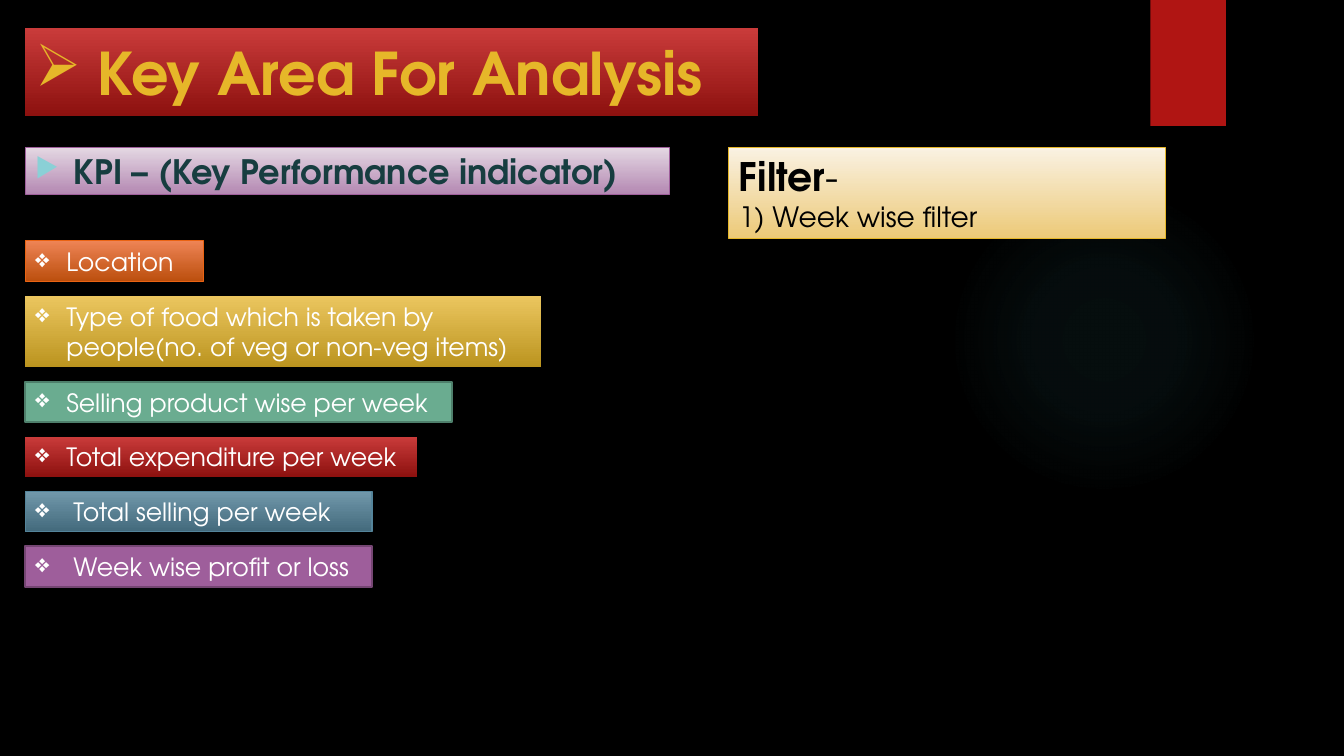
from lxml.etree import SubElement
from pptx import Presentation
from pptx.dml.color import RGBColor
from pptx.enum.shapes import MSO_SHAPE
from pptx.enum.text import MSO_ANCHOR, MSO_AUTO_SIZE, PP_ALIGN
from pptx.oxml.ns import qn
from pptx.util import Inches, Pt

FONT = "TeX Gyre Adventor"
BLACK = RGBColor(0x00, 0x00, 0x00)
WHITE = RGBColor(0xFF, 0xFF, 0xFF)
RED = RGBColor(0xB0, 0x15, 0x13)
CRIMSON = RGBColor(0xC9, 0x3B, 0x3A)
MAROON = RGBColor(0x8D, 0x11, 0x0F)
GOLD = RGBColor(0xE6, 0xB7, 0x29)
SAND = RGBColor(0xEB, 0xC6, 0x5F)
OCHRE = RGBColor(0xBB, 0x94, 0x1F)
CREAM = RGBColor(0xFA, 0xF2, 0xE3)
WHEAT = RGBColor(0xEC, 0xC9, 0x77)
CORAL = RGBColor(0xEE, 0x84, 0x55)
RUST = RGBColor(0xBC, 0x4F, 0x0E)
ORANGE = RGBColor(0xEA, 0x63, 0x12)
GREEN = RGBColor(0x6A, 0xAC, 0x90)
PINE = RGBColor(0x4E, 0x7F, 0x6B)
SKY = RGBColor(0x71, 0x98, 0xAB)
SLATE = RGBColor(0x43, 0x6A, 0x7C)
STEEL = RGBColor(0x54, 0x84, 0x9A)
LILAC = RGBColor(0xE4, 0xD8, 0xE3)
MAUVE = RGBColor(0xB4, 0x88, 0xB2)
PURPLE = RGBColor(0x9E, 0x5E, 0x9B)
PLUM = RGBColor(0x75, 0x46, 0x73)
TEAL = RGBColor(0x17, 0x3D, 0x40)
AQUA = RGBColor(0x8A, 0xD0, 0xD6)
CYAN = RGBColor(0x50, 0xB9, 0xC1)

# Shadows: opacity %, blur pt, distance pt
SOFT = (45, 3, 2)
DEEP = (60, 5, 3)

TITLE = "Key Area For Analysis"
KPI = "KPI – (Key Performance indicator)"
FILTER = ("Filter", "-", "1) Week wise filter")
# text, width, lines, indent, fill colours, line, shadow
BARS = [
    ("Location", 1.77, 1, 0.31, (CORAL, RUST), (ORANGE, 0.75), SOFT),
    ("Type of food which is taken by people(no. of veg or non-veg items)",
     5.12, 2, 0.31, (SAND, OCHRE), None, DEEP),
    ("Selling product wise per week", 4.23, 1, 0.31, (GREEN,), (PINE, 1.5), None),
    ("Total expenditure per week", 3.89, 1, 0.31, (CRIMSON, MAROON), None, DEEP),
    ("Total selling per week", 3.44, 1, 0.38, (SKY, SLATE), (STEEL, 0.75), SOFT),
    ("Week wise profit or loss", 3.44, 1, 0.38, (PURPLE,), (PLUM, 1.5), None),
]
LEFT, TOP, BOTTOM = 0.25, 2.39, 5.82


def tint(parent, color, alpha):
    node = SubElement(parent, qn("a:srgbClr"), val=str(color))
    SubElement(node, qn("a:alpha"), val=str(alpha * 1000))


def style(shape, fill, line=None, shadow=None):
    """Set a plain or top-to-bottom fill, the outline and the shadow."""
    if len(fill) == 1:
        shape.fill.solid()
        shape.fill.fore_color.rgb = fill[0]
    else:
        shape.fill.gradient()
        shape.fill.gradient_angle = 270
        for stop, color in zip(shape.fill.gradient_stops, fill):
            stop.color.rgb = color
    if line:
        shape.line.color.rgb = line[0]
        shape.line.width = Pt(line[1])
    else:
        shape.line.fill.background()
    shape.shadow.inherit = False
    if shadow:
        alpha, blur, dist = shadow
        effects = shape._element.spPr.find(qn("a:effectLst"))
        outer = SubElement(effects, qn("a:outerShdw"), blurRad=str(Pt(blur)),
                           dist=str(Pt(dist)), dir="5400000", rotWithShape="0")
        tint(outer, BLACK, alpha)


def box(slide, at, fill, line=None, shadow=None, kind=MSO_SHAPE.RECTANGLE):
    shape = slide.shapes.add_shape(kind, *map(Inches, at))
    style(shape, fill, line, shadow)
    return shape


def write(para, text, size=18, color=WHITE, bold=False, indent=0,
          bullet=None, tone=None, scale=None):
    run = para.add_run()
    run.text = text
    font = run.font
    font.name, font.size, font.bold = FONT, Pt(size), bold
    font.color.rgb = color
    para.alignment = PP_ALIGN.LEFT
    if bullet:
        props = para._p.get_or_add_pPr()
        props.set("marL", str(Inches(indent)))
        props.set("indent", str(-Inches(indent)))
        if tone:
            node = SubElement(props, qn("a:buClr"))
            SubElement(node, qn("a:srgbClr"), val=str(tone))
        if scale:
            SubElement(props, qn("a:buSzPct"), val=str(scale * 1000))
        SubElement(props, qn("a:buChar"), char=bullet)


def frame(shape, grow=False):
    """Prepare the text frame and return its first paragraph."""
    text = shape.text_frame
    text.word_wrap = True
    text.vertical_anchor = MSO_ANCHOR.MIDDLE
    text.auto_size = MSO_AUTO_SIZE.SHAPE_TO_FIT_TEXT if grow else MSO_AUTO_SIZE.NONE
    return text.paragraphs[0]


def add_glow(slide):
    glow = box(slide, (9.41, 1.83, 3.08, 3.08), (CYAN, CYAN), kind=MSO_SHAPE.OVAL)
    grad = glow._element.spPr.find(qn("a:gradFill"))
    for child in list(grad):
        grad.remove(child)
    stops = SubElement(grad, qn("a:gsLst"))
    for place, alpha in ((0, 7), (36, 6), (69, 0), (100, 0)):
        tint(SubElement(stops, qn("a:gs"), pos=str(place * 1000)), CYAN, alpha)
    route = SubElement(grad, qn("a:path"), path="circle")
    SubElement(route, qn("a:fillToRect"), l="50000", t="50000", r="50000", b="50000")


def add_bars(slide):
    heights = [0.09 + 0.31 * bar[2] for bar in BARS]
    gap = (BOTTOM - TOP - sum(heights)) / (len(BARS) - 1)
    top = TOP
    for (text, width, _, indent, fill, line, shadow), height in zip(BARS, heights):
        bar = box(slide, (LEFT, top, width, height), fill, line, shadow)
        write(frame(bar, grow=True), text, indent=indent, bullet="❖")
        top += height + gap


def main():
    deck = Presentation()
    deck.slide_width, deck.slide_height = Inches(13.33), Inches(7.5)
    slide = deck.slides.add_slide(deck.slide_layouts[5])
    slide.background.fill.solid()
    slide.background.fill.fore_color.rgb = BLACK

    add_glow(slide)
    box(slide, (11.41, 0, 0.75, 1.25), (RED,), shadow=SOFT)

    title = slide.shapes.title
    title.left, title.top = Inches(LEFT), Inches(0.28)
    title.width, title.height = Inches(7.27), Inches(0.87)
    style(title, (CRIMSON, MAROON), shadow=DEEP)
    write(frame(title), TITLE, size=42, color=GOLD, bold=True, indent=0.62, bullet="➢")

    kpi = box(slide, (LEFT, 1.46, 6.39, 0.47), (LILAC, MAUVE), (PURPLE, 0.75))
    write(frame(kpi), KPI, size=24, color=TEAL, bold=True, indent=0.38,
          bullet="▶", tone=AQUA, scale=80)

    note = box(slide, (7.23, 1.46, 4.33, 0.91), (CREAM, WHEAT), (GOLD, 0.75))
    head, dash, item = FILTER
    para = frame(note, grow=True)
    write(para, head, size=28, color=BLACK, bold=True)
    write(para, dash, size=28, color=BLACK)
    write(note.text_frame.add_paragraph(), item, size=20, color=BLACK)

    add_bars(slide)
    deck.save("out.pptx")


if __name__ == "__main__":
    main()
